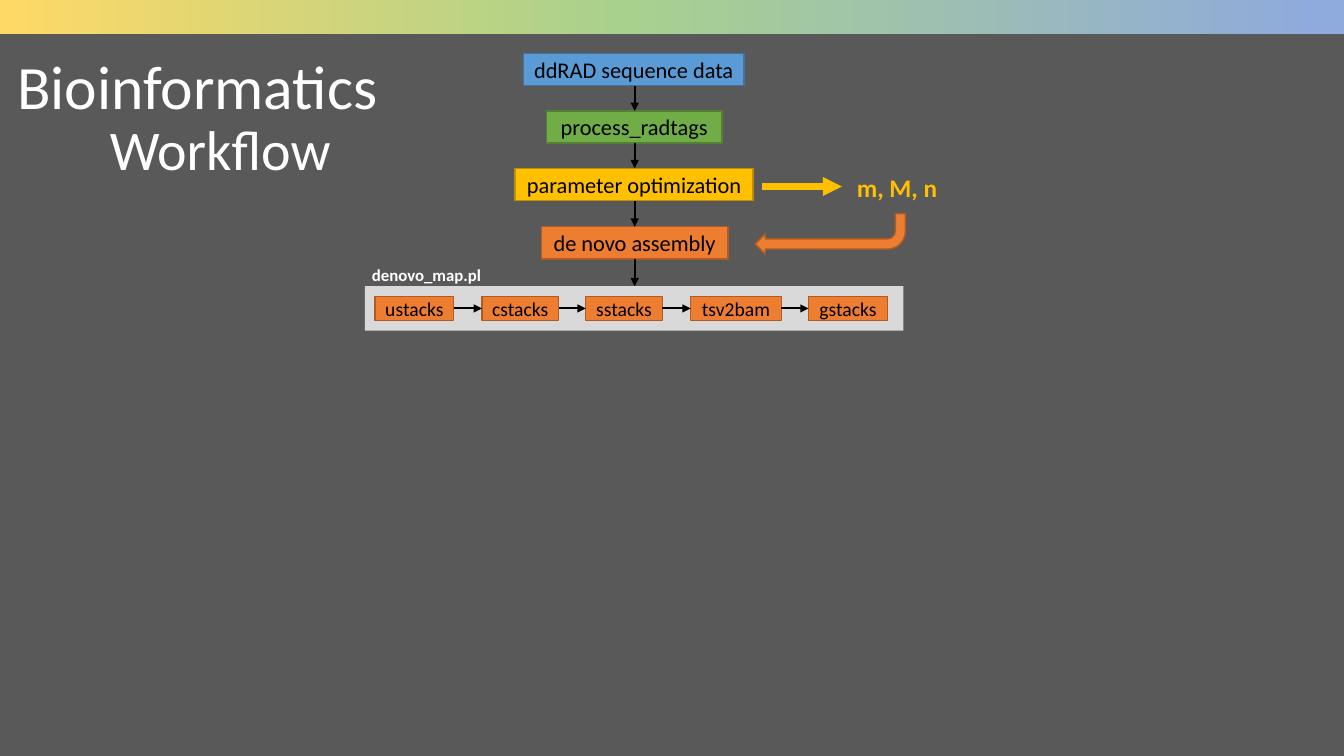
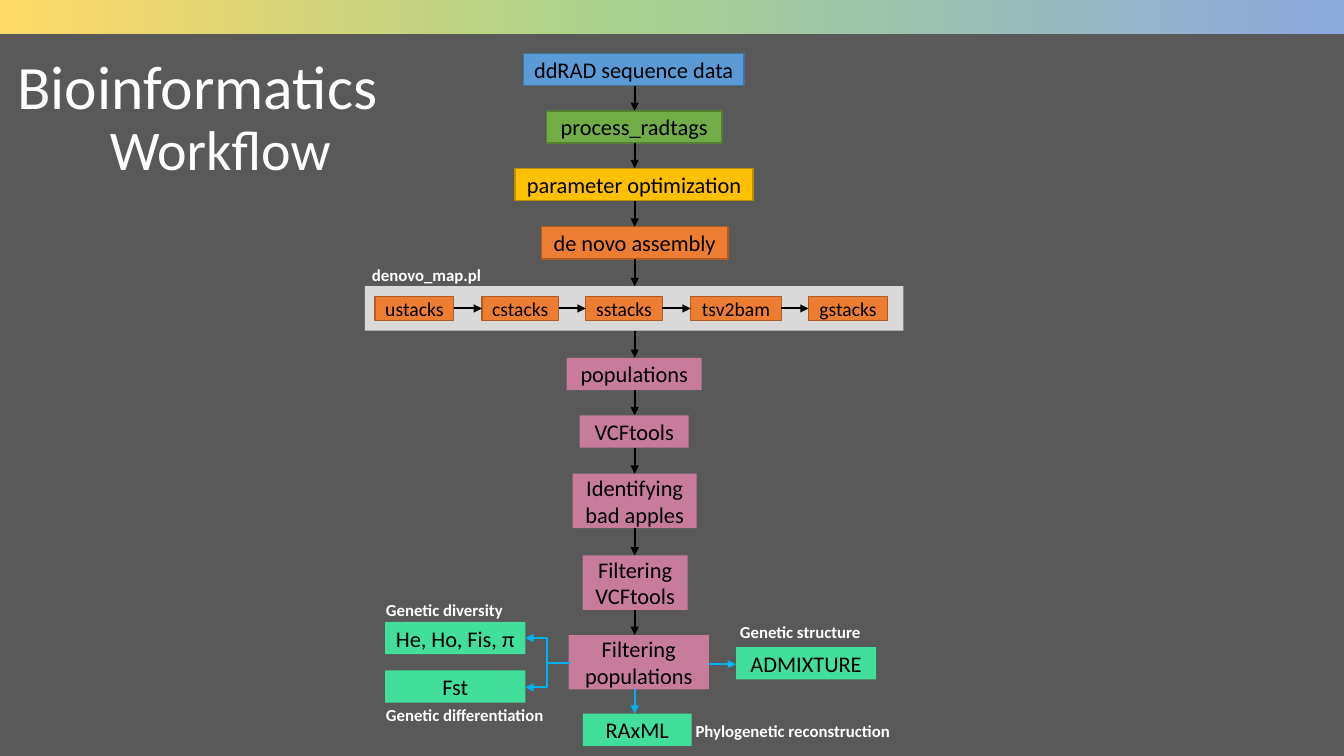
import copy
import itertools

import pptx
import pptx.dml.color
import pptx.enum.shapes
import pptx.enum.text
import pptx.oxml
import pptx.oxml.ns
import pptx.util

SHAPE = pptx.enum.shapes.MSO_SHAPE
LINK = pptx.enum.shapes.MSO_CONNECTOR
ALIGN = pptx.enum.text.PP_ALIGN
MIDDLE = pptx.enum.text.MSO_ANCHOR.MIDDLE
NOFIT = pptx.enum.text.MSO_AUTO_SIZE.NONE
inch = pptx.util.Inches

WIDE, HIGH = 13.33, 7.5
FONT = "Calibri"
BLACK, WHITE, GREY, TRAY = "000000", "FFFFFF", "595959", "D9D9D9"
BLUE, GREEN, GOLD, ORANGE = "5B9BD5", "70AD47", "FFC000", "ED7D31"
PINK, MINT, SKY = "C67C9A", "41DF9B", "00B0F0"
EDGE = {BLUE: "43739E", GREEN: "538035", GOLD: "BD8E00", ORANGE: "AF5C24"}
BAND = [(0, "FFD966"), (0.46, "A9D18E"), (0.98, "8FAADC")]

ROW, PAIR = 0.32, 0.54  # heights of one-line and two-line boxes
MID = 6.295  # centre line of the flow

# text, left, top, width, height, fill
SPINE = [
    ("ddRAD sequence data", 5.19, 0.53, 2.19, ROW, BLUE),
    ("process_radtags", 5.42, 1.1, 1.74, ROW, GREEN),
    ("parameter optimization", 5.11, 1.67, 2.36, ROW, GOLD),
    ("de novo assembly", 5.37, 2.25, 1.85, ROW, ORANGE),
    ("", 3.62, 2.84, 5.34, 0.44, TRAY),
    ("populations", 5.62, 3.55, 1.34, ROW, PINK),
    ("VCFtools", 5.75, 4.12, 1.08, ROW, PINK),
    ("Identifying bad apples", 5.68, 4.7, 1.23, PAIR, PINK),
    ("Filtering VCFtools", 5.78, 5.51, 1.04, PAIR, PINK),
    ("Filtering\npopulations", 5.64, 6.3, 1.39, PAIR, PINK),
]
SHARED = 5  # leading spine steps found on both slides

# text, left, width
STACKS = [
    ("ustacks", 3.72, 0.78),
    ("cstacks", 4.78, 0.76),
    ("sstacks", 5.81, 0.76),
    ("tsv2bam", 6.85, 0.9),
    ("gstacks", 8.02, 0.78),
]

# text, left, top, width
RESULTS = [
    ("RAxML", 5.78, 7.08, 1.08),
    ("ADMIXTURE", 7.3, 6.42, 1.39),
    ("He, Ho, Fis, π", 3.82, 6.17, 1.39),
    ("Fst", 3.82, 6.65, 1.39),
]
# text, left, top
LABELS = [
    ("Phylogenetic reconstruction", 6.8, 7.1),
    ("Genetic structure", 7.24, 6.12),
    ("Genetic diversity", 3.73, 5.9),
    ("Genetic differentiation", 3.73, 6.94),
]
# kind, start, end
BRANCHES = [
    (LINK.STRAIGHT, (MID, 6.84), (MID, 7.08)),
    (LINK.STRAIGHT, (7.03, 6.59), (7.3, 6.59)),
    (LINK.ELBOW, (5.65, 6.58), (5.21, 6.33)),
    (LINK.ELBOW, (5.65, 6.58), (5.21, 6.82)),
]


def rgb(code):
    return pptx.dml.color.RGBColor.from_string(code)


def paint(fill, code):
    fill.solid()
    fill.fore_color.rgb = rgb(code)


def write(frame, text, size, color, align=ALIGN.LEFT, bold=False):
    frame.text = text
    frame.word_wrap = True
    look = {"name": FONT, "size": pptx.util.Pt(size), "bold": bold}
    for para in frame.paragraphs:
        para.alignment = align
        for run in para.runs:
            for key, value in look.items():
                setattr(run.font, key, value)
            run.font.color.rgb = rgb(color)


def shape(slide, kind, left, top, width, height, fill):
    item = slide.shapes.add_shape(kind, *map(inch, (left, top, width, height)))
    item.shadow.inherit = False
    paint(item.fill, fill)
    if fill in EDGE:
        item.line.color.rgb = rgb(EDGE[fill])
        item.line.width = pptx.util.Pt(1)
    else:
        item.line.fill.background()
    return item


def box(slide, text, left, top, width, height, fill, size=16):
    item = shape(slide, SHAPE.RECTANGLE, left, top, width, height, fill)
    if text:
        write(item.text_frame, text, size, BLACK, ALIGN.CENTER)
        item.text_frame.vertical_anchor = MIDDLE


def label(slide, text, left, top, width=2.45, height=0.3, size=12,
          color=WHITE, bold=True):
    item = slide.shapes.add_textbox(*map(inch, (left, top, width, height)))
    write(item.text_frame, text, size, color, bold=bold)


def arrow(slide, start, end, color=BLACK, width=1.5, kind=LINK.STRAIGHT):
    item = slide.shapes.add_connector(kind, *map(inch, start + end))
    item.line.color.rgb = rgb(color)
    item.line.width = pptx.util.Pt(width)
    head = pptx.oxml.parse_xml(
        f'<a:tailEnd {pptx.oxml.ns.nsdecls("a")} type="triangle"/>')
    item.line._get_or_add_ln().append(head)
    props = item._element.spPr
    props.append(props.makeelement(pptx.oxml.ns.qn("a:effectLst"), {}))


def add_band(layout, slide):
    """Draw the gradient band and move it into the layout."""
    item = shape(slide, SHAPE.RECTANGLE, 0, -0.02, WIDE + 0.02, 0.36, GREY)
    item.fill.gradient()
    item.fill.gradient_angle = 0
    stops = next(item._element.iter(pptx.oxml.ns.qn("a:gsLst")))
    stops.append(copy.deepcopy(stops[-1]))
    for stop, (place, code) in zip(item.fill.gradient_stops, BAND):
        stop.position = place
        stop.color.rgb = rgb(code)
    layout.shapes._spTree.append(item._element)


def add_title(slide):
    title = slide.shapes.title
    spot = {"left": 0.07, "top": -0.02, "width": 11.5, "height": 1.81}
    for key, value in spot.items():
        setattr(title, key, inch(value))
    write(title.text_frame, "Bioinformatics", 44, WHITE)
    title.text_frame.auto_size = NOFIT
    title.text_frame.vertical_anchor = MIDDLE
    title.text_frame.paragraphs[0].line_spacing = 0.9
    label(slide, "Workflow", 0.99, 1.09, 3.19, 0.77, 40, bold=False)


def add_flow(slide, steps):
    for step in steps:
        box(slide, *step)
    for upper, lower in itertools.pairwise(steps):
        arrow(slide, (MID, upper[2] + upper[4]), (MID, lower[2]))
    for text, left, width in STACKS:
        box(slide, text, left, 2.94, width, 0.24, ORANGE, 14)
    for (_, left, width), (_, after, _) in itertools.pairwise(STACKS):
        arrow(slide, (left + width, 3.06), (after, 3.06))
    label(slide, "denovo_map.pl", 3.59, 2.58)


def add_tuning(slide):
    arrow(slide, (7.56, 1.85), (8.35, 1.85), GOLD, 4.5)
    label(slide, "m, M, n", 8.4, 1.66, 1.26, 0.4, 18, GOLD)
    bend = shape(slide, SHAPE.BENT_ARROW, 7.49, 2.12, 1.49, 0.4, ORANGE)
    bend.rotation = 180


def add_results(slide):
    for text, left, top, width in RESULTS:
        box(slide, text, left, top, width, ROW, MINT)
    for kind, start, end in BRANCHES:
        arrow(slide, start, end, SKY, kind=kind)
    for item in LABELS:
        label(slide, *item)


def main():
    deck = pptx.Presentation()
    deck.slide_width, deck.slide_height = inch(WIDE), inch(HIGH)
    paint(deck.slide_master.background.fill, GREY)
    layout = deck.slide_layouts.get_by_name("Title Only")
    plans = [(SPINE[:SHARED], add_tuning), (SPINE, add_results)]
    for count, (steps, extra) in enumerate(plans):
        slide = deck.slides.add_slide(layout)
        if count == 0:
            add_band(layout, slide)
        add_title(slide)
        add_flow(slide, steps)
        extra(slide)
    deck.save("out.pptx")


if __name__ == "__main__":
    main()
